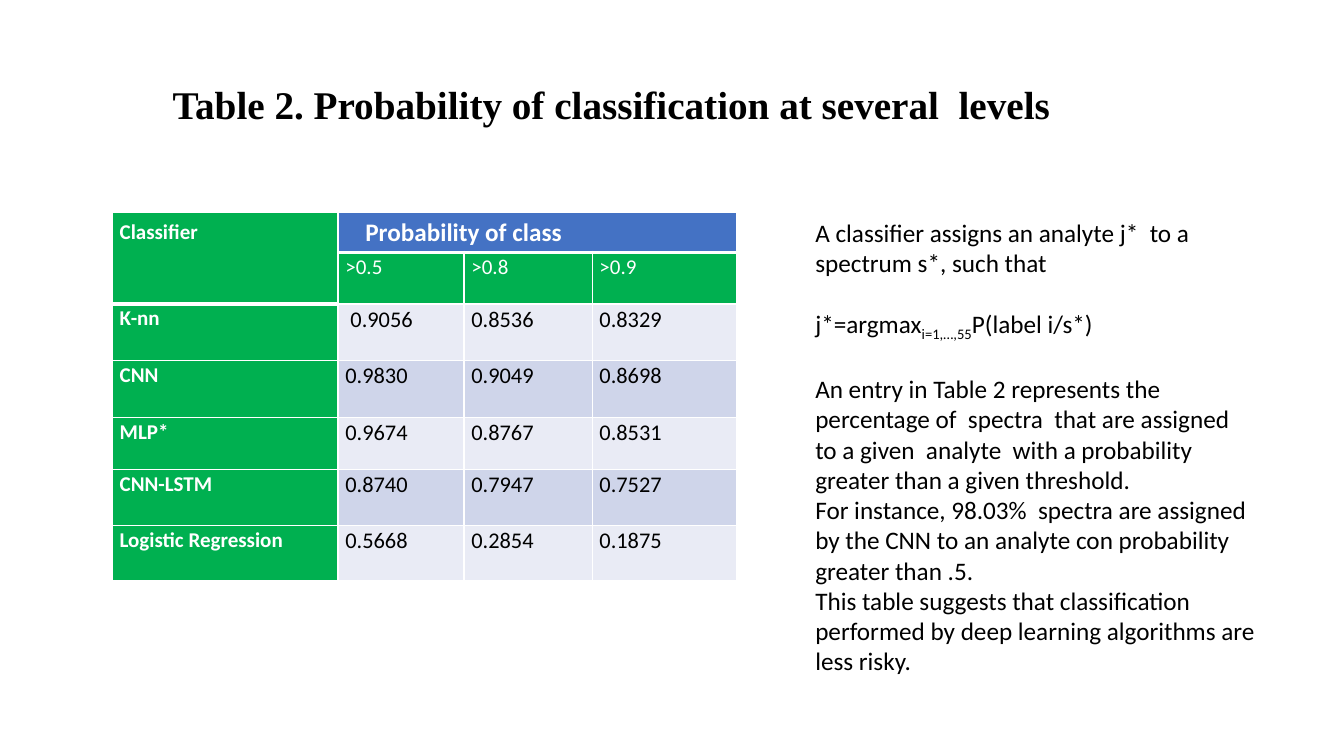
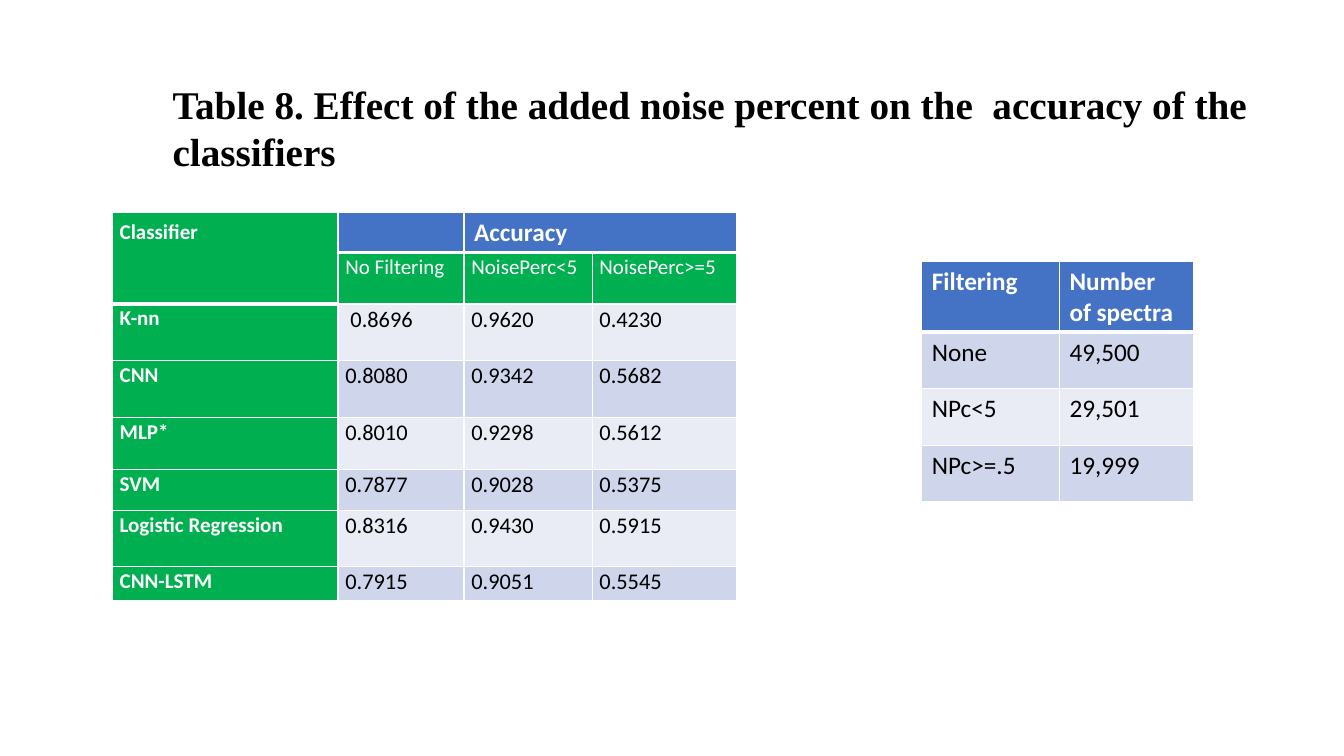
from lxml import etree
from pptx import Presentation
from pptx import util as u
from pptx.dml import color
from pptx.enum import text
from pptx.oxml import ns

PX = 9525
BODY_FONT = "Calibri"
TITLE_FONT = "Times New Roman"
BLACK = "000000"
WHITE = "FFFFFF"
GREEN = "00B050"
BLUE = "4472C4"
BANDS = ("E9EBF5", "CFD5EA")
THIN = 1
HEAVY = 3

CLASSIFIER_COLUMNS = (215, 120, 122, 138)

PROBABILITY_HEIGHTS = (38, 49, 54, 54, 50, 53, 53)
PROBABILITY_ROWS = (
    ("Classifier", "Probability of class", "", ""),
    ("", ">0.5", ">0.8", ">0.9"),
    ("K-nn", " 0.9056", "0.8536", "0.8329"),
    ("CNN", "0.9830", "0.9049", "0.8698"),
    ("MLP*", "0.9674", "0.8767", "0.8531"),
    ("CNN-LSTM", "0.8740", "0.7947", "0.7527"),
    ("Logistic Regression", "0.5668", "0.2854", "0.1875"),
)

ACCURACY_HEIGHTS = (38, 49, 54, 54, 50, 39, 53, 33)
ACCURACY_ROWS = (
    ("Classifier", "", "Accuracy", ""),
    ("", "No Filtering", "NoisePerc<5", "NoisePerc>=5"),
    ("K-nn", " 0.8696", "0.9620", "0.4230"),
    ("CNN", "0.8080", "0.9342", "0.5682"),
    ("MLP*", "0.8010", "0.9298", "0.5612"),
    ("SVM", "0.7877", "0.9028", "0.5375"),
    ("Logistic Regression", "0.8316", "0.9430", "0.5915"),
    ("CNN-LSTM", "0.7915", "0.9051", "0.5545"),
)

FILTERING_ROWS = (
    ("Filtering", "Number  of spectra"),
    ("None", "49,500"),
    ("NPc<5", "29,501"),
    ("NPc>=.5", "19,999"),
)

NOTES = (
    "A classifier assigns an analyte j*  to a spectrum s*, such that",
    "j*=argmax",
    "An entry in Table 2 represents the percentage of  spectra  that are assigned "
    "to a given  analyte  with a probability greater than a given threshold.",
    "For instance, 98.03%  spectra are assigned by the CNN to an analyte con "
    "probability greater than .5.",
    "This table suggests that classification performed by deep learning "
    "algorithms are less risky.",
)


def px(length):
    return u.Emu(length * PX)


def rgb(value):
    return color.RGBColor.from_string(value)


def format_span(span, size, ink=BLACK, bold=False, font=BODY_FONT):
    span.font.name = font
    span.font.size = u.Pt(size)
    span.font.bold = bold
    span.font.color.rgb = rgb(ink)


def add_text(page, left, top, width, height, content):
    box = page.shapes.add_textbox(px(left), px(top), px(width), px(height))
    box.text_frame.word_wrap = True
    box.text_frame.text = content
    return box.text_frame


def add_title(page, content, height):
    frame = add_text(page, 155, 72, 1059, height, content)
    format_span(frame.paragraphs[0].runs[0], 28, bold=True, font=TITLE_FONT)


def add_notes(page):
    frame = add_text(page, 767, 202, 439, 445, "\n".join(NOTES))
    formula, explanation = frame.paragraphs[1:3]
    for para in (formula, explanation):
        para.space_before = u.Pt(22)
    subscript, ending = formula.add_run(), formula.add_run()
    subscript.text = "i=1,…,55"
    subscript._r.get_or_add_rPr().set("baseline", "-25000")
    ending.text = "P(label i/s*)"
    for para in frame.paragraphs:
        for span in para.runs:
            format_span(span, 18)


def set_borders(cell, top, bottom):
    properties = cell._tc.get_or_add_tcPr()
    widths = (("L", THIN), ("R", THIN), ("T", top), ("B", bottom))
    for index, (side, width) in enumerate(widths):
        line = etree.Element(ns.qn(f"a:ln{side}"), w=str(u.Pt(width)))
        fill = etree.SubElement(line, ns.qn("a:solidFill"))
        etree.SubElement(fill, ns.qn("a:srgbClr"), val=WHITE)
        properties.insert(index, line)


def style_cell(cell, fill, size, ink, bold):
    cell.fill.solid()
    cell.fill.fore_color.rgb = rgb(fill)
    for span in cell.text_frame.paragraphs[0].runs:
        format_span(span, size, ink, bold)


def make_compact(cell, vertical):
    cell.margin_left = cell.margin_right = px(7)
    cell.margin_top = cell.margin_bottom = px(vertical)
    para = cell.text_frame.paragraphs[0]
    para.alignment = text.PP_ALIGN.JUSTIFY
    para.line_spacing = 1.07


def add_table(page, left, top, columns, heights, rows):
    table = page.shapes.add_table(
        len(rows), len(columns), px(left), px(top), px(sum(columns)), px(sum(heights))
    ).table
    table.first_row = table.horz_banding = False
    for column, width in zip(table.columns, columns):
        column.width = px(width)
    for row, height in zip(table.rows, heights):
        row.height = px(height)
    for row, values in enumerate(rows):
        for column, value in enumerate(values):
            cell = table.cell(row, column)
            cell.text = value
            if row == 0:
                style_cell(cell, BLUE, 18, WHITE, True)
            else:
                style_cell(cell, BANDS[row % 2], 18, BLACK, False)
    return table


def add_classifier_table(page, heights, rows, heading_column):
    table = add_table(page, 107, 202, CLASSIFIER_COLUMNS, heights, rows)
    for row in range(len(rows)):
        for column in range(len(CLASSIFIER_COLUMNS)):
            cell = table.cell(row, column)
            if column == 0:
                style_cell(cell, GREEN, 15, WHITE, True)
            elif row == 1:
                style_cell(cell, GREEN, 15, WHITE, False)
            elif row > 1:
                style_cell(cell, BANDS[row % 2], 16, BLACK, False)
            if row > 0 or column == 0:
                make_compact(cell, 5 if row == 0 else 0)
    table.cell(0, 0).merge(table.cell(1, 0))
    table.cell(0, heading_column).merge(table.cell(0, 3))
    add_grid(table, first_column_header=2)
    return table


def add_grid(table, first_column_header=1):
    for row in range(len(table.rows)):
        for column in range(len(table.columns)):
            header = first_column_header if column == 0 else 1
            top = HEAVY if row == header else THIN
            bottom = HEAVY if row < header else THIN
            set_borders(table.cell(row, column), top, bottom)


def add_probability_page(deck):
    page = deck.slides.add_slide(deck.slide_layouts[6])
    add_title(page, "Table 2. Probability of classification at several  levels", 55)
    table = add_classifier_table(page, PROBABILITY_HEIGHTS, PROBABILITY_ROWS, 1)
    table.cell(0, 1).margin_left = px(26)
    add_notes(page)


def add_accuracy_page(deck):
    page = deck.slides.add_slide(deck.slide_layouts[6])
    add_title(
        page,
        "Table 8. Effect of the added noise percent on the  accuracy of the classifiers",
        100,
    )
    add_classifier_table(page, ACCURACY_HEIGHTS, ACCURACY_ROWS, 2)
    filtering = add_table(page, 878, 249, (131, 128), (67, 54, 54, 54), FILTERING_ROWS)
    add_grid(filtering)


def main():
    deck = Presentation()
    deck.slide_width, deck.slide_height = px(1280), px(720)
    add_probability_page(deck)
    add_accuracy_page(deck)
    deck.save("out.pptx")


if __name__ == "__main__":
    main()
